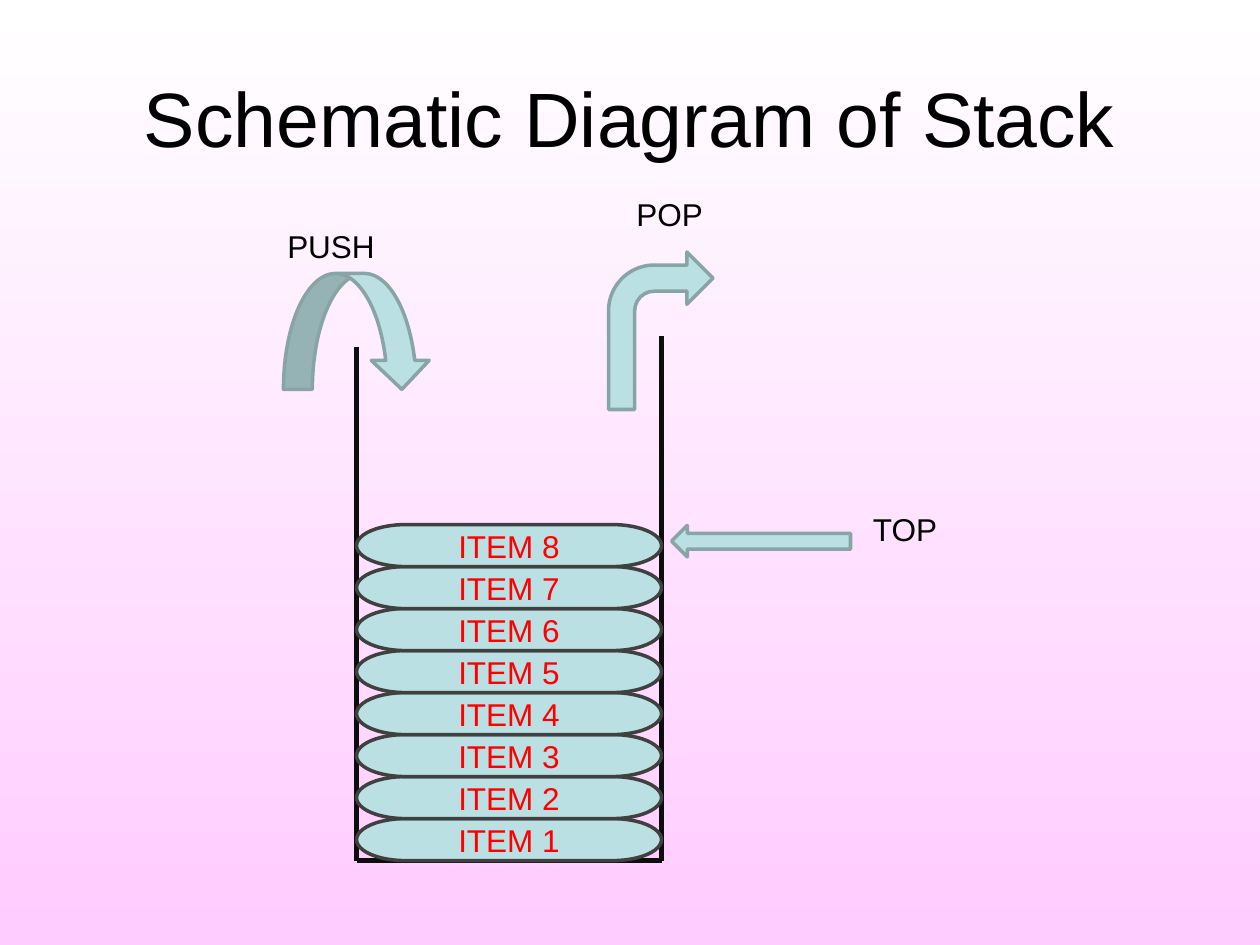
from typing import NamedTuple

from lxml import etree
from pptx import Presentation
from pptx import util as u
from pptx.dml.color import RGBColor
from pptx.enum import shapes as sh, text as tx
from pptx.oxml.ns import qn

HUES = {"top": "FFFFFF", "base": "FFCCFF", "ink": "000000", "wall": "0D0D0D",
        "fill": "BBE0E3", "edge": "89A4A7", "rim": "404040", "item": "FF0000"}
KIND = sh.MSO_SHAPE
LEFT, WIDTH, FLOOR = 2.83, 2.42, 6.83
COUNT, STEP = 8, 1 / 3


class Box(NamedTuple):
    x: float
    y: float
    w: float
    h: float


class Label(NamedTuple):
    words: str
    box: Box
    inset: float


class Arrow(NamedTuple):
    kind: KIND
    box: Box


class Wall(NamedTuple):
    x1: float
    y1: float
    x2: float
    y2: float


LABELS = [
    Label("PUSH", Box(1.83, 1.75, 1.58, 0.4), 0.45),
    Label("POP", Box(4.67, 1.5, 1.58, 0.4), 0.38),
    Label("TOP", Box(6.83, 4, 2.5, 0.4), 0.1),
]
ARROWS = [
    Arrow(KIND.CURVED_DOWN_ARROW, Box(2.25, 2.17, 1.17, 0.92)),
    Arrow(KIND.BENT_ARROW, Box(4.83, 2, 0.83, 1.25)),
    Arrow(KIND.LEFT_ARROW, Box(5.33, 4.17, 1.42, 0.25)),
]
WALLS = [
    Wall(LEFT, 2.75, LEFT, FLOOR),
    Wall(LEFT + WIDTH, 2.67, LEFT + WIDTH, FLOOR),
    Wall(LEFT + WIDTH, FLOOR, LEFT, FLOOR),
]


def hue(name: str) -> RGBColor:
    return RGBColor.from_string(HUES[name])


def place(box: Box) -> list:
    return [u.Inches(v) for v in box]


def write(shape, words: str, *, size: float = 18, color: str = "ink",
          align=tx.PP_ALIGN.LEFT, anchor=tx.MSO_ANCHOR.TOP,
          inset: float = 0.1) -> None:
    frame = shape.text_frame
    frame.word_wrap = True
    frame.margin_left = u.Inches(inset)
    frame.vertical_anchor = anchor
    par = frame.paragraphs[0]
    par.alignment = align
    run = par.add_run()
    run.text = words
    run.font.name = "Arial"
    run.font.size = u.Pt(size)
    run.font.color.rgb = hue(color)


def add_form(slide, kind: KIND, box: Box, edge: str):
    form = slide.shapes.add_shape(kind, *place(box))
    form.shadow.inherit = False
    form.fill.solid()
    form.fill.fore_color.rgb = hue("fill")
    form.line.color.rgb = hue(edge)
    form.line.width = u.Pt(2)
    return form


def add_wall(slide, wall: Wall) -> None:
    line = slide.shapes.add_connector(sh.MSO_CONNECTOR.STRAIGHT, *place(wall))
    line.line.color.rgb = hue("wall")
    line.line.width = u.Pt(2.5)
    etree.SubElement(line._element.spPr, qn("a:effectLst"))


def paint(slide) -> None:
    """Fill the background from top to base colour."""
    fill = slide.background.fill
    fill.gradient()
    fill.gradient_angle = 270
    for stop, name, pos in zip(fill.gradient_stops, ("top", "base"), (0, 1)):
        stop.color.rgb = hue(name)
        stop.position = pos


def main() -> None:
    deck = Presentation()
    deck.slide_width, deck.slide_height = u.Inches(10), u.Inches(7.5)
    slide = deck.slides.add_slide(deck.slide_layouts[6])
    paint(slide)
    mid = {"align": tx.PP_ALIGN.CENTER, "anchor": tx.MSO_ANCHOR.MIDDLE}

    title = slide.shapes.add_textbox(*place(Box(0.5, 0.3, 9, 1.25)))
    write(title, "Schematic Diagram of Stack", size=44, **mid)
    for wall in WALLS:
        add_wall(slide, wall)
    for num in range(1, COUNT + 1):
        box = Box(LEFT, FLOOR - num * STEP, WIDTH, STEP)
        item = add_form(slide, KIND.FLOWCHART_TERMINATOR, box, "rim")
        write(item, f"ITEM {num}", color="item", **mid)
    for arrow in ARROWS:
        add_form(slide, arrow.kind, arrow.box, "edge")
    for label in LABELS:
        area = slide.shapes.add_textbox(*place(label.box))
        write(area, label.words, inset=label.inset)
    deck.save("out.pptx")


if __name__ == "__main__":
    main()
